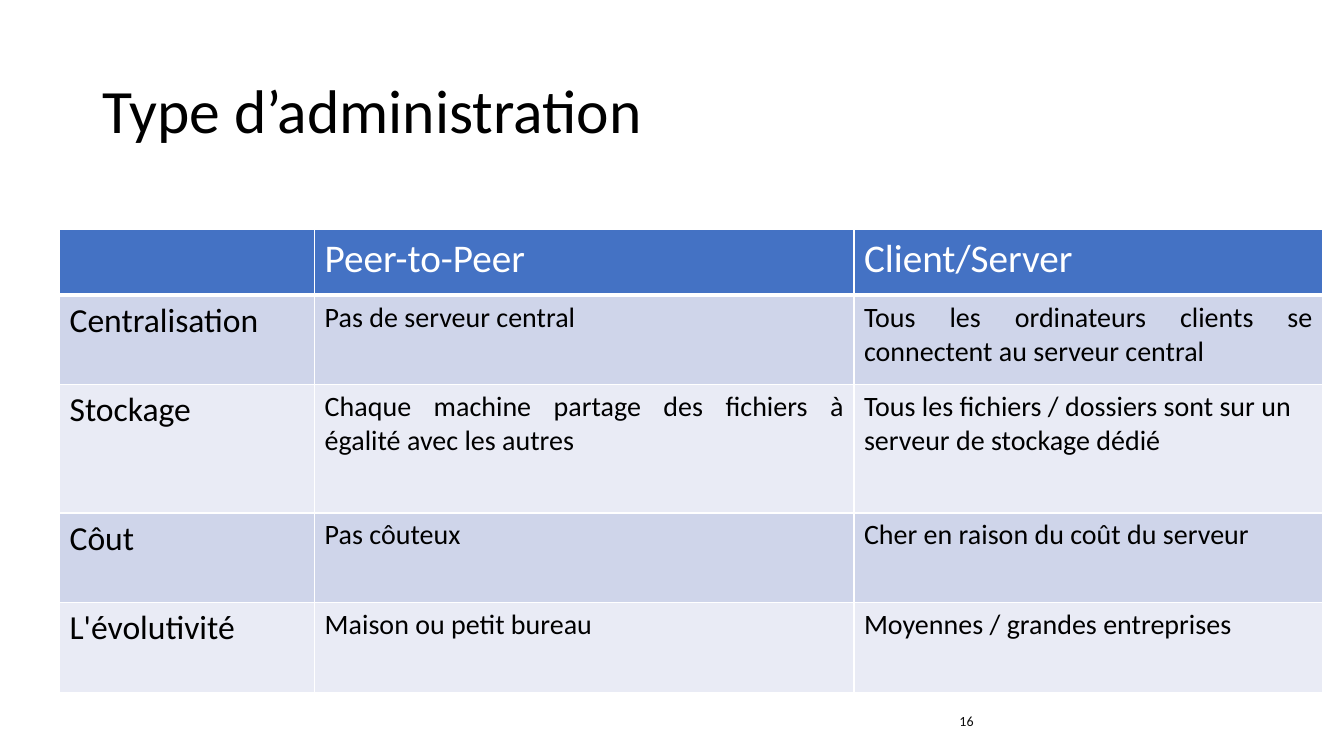
from dataclasses import dataclass

from lxml.etree import SubElement
from pptx import Presentation
from pptx.dml.color import RGBColor
from pptx.enum.text import MSO_ANCHOR, MSO_AUTO_SIZE, PP_ALIGN
from pptx.oxml.ns import qn
from pptx.slide import Slide
from pptx.table import _Cell
from pptx.text.text import TextFrame
from pptx.util import Cm, Pt

FONT = "Calibri"
BLACK, WHITE, NUMBER_GREY = "000000", "FFFFFF", "0D0D0D"
HEADER_BLUE = "4472C4"
BAND_FILLS = ("CFD5EA", "E9EBF5")
COLUMN_WIDTHS = (6.43, 13.59, 11.81)
HEADER_HEIGHT = 1.65
HEADER_SIZE, LABEL_SIZE, DETAIL_SIZE = 28, 24, 20


@dataclass
class Criterion:
    label: str
    peer_to_peer: str
    client_server: str
    height: float = 2.26
    justified_column: int = 0


HEADINGS = ("", "Peer-to-Peer", "Client/Server")
CRITERIA = (
    Criterion("Centralisation", "Pas de serveur central",
              "Tous les ordinateurs clients se connectent au serveur central",
              justified_column=2),
    Criterion("Stockage",
              "Chaque machine partage des fichiers à égalité avec les autres",
              "Tous les fichiers / dossiers sont sur un serveur de stockage dédié",
              height=3.23, justified_column=1),
    Criterion("Côut", "Pas côuteux", "Cher en raison du coût du serveur"),
    Criterion("L'évolutivité", "Maison ou petit bureau", "Moyennes / grandes entreprises"),
)


def color(value: str) -> RGBColor:
    return RGBColor.from_string(value)


def write(frame: TextFrame, text: str, size: float, text_color: str,
          align: PP_ALIGN = PP_ALIGN.LEFT) -> None:
    para = frame.paragraphs[0]
    para.alignment = align
    span = para.add_run()
    span.text = text
    span.font.name = FONT
    span.font.size = Pt(size)
    span.font.bold = False
    span.font.color.rgb = color(text_color)


def add_borders(cell: _Cell, top: float, bottom: float) -> None:
    """Draw white cell borders, with widths in points; call before filling."""
    properties = cell._tc.get_or_add_tcPr()
    for tag, width in (("a:lnL", 1), ("a:lnR", 1), ("a:lnT", top), ("a:lnB", bottom)):
        line = SubElement(properties, qn(tag), w=str(Pt(width)))
        fill = SubElement(line, qn("a:solidFill"))
        SubElement(fill, qn("a:srgbClr"), val=WHITE)


def fill_cell(cell: _Cell, fill: str, top: float = 1, bottom: float = 1) -> None:
    add_borders(cell, top, bottom)
    cell.fill.solid()
    cell.fill.fore_color.rgb = color(fill)


def add_title(page: Slide) -> None:
    title = page.shapes.title
    title.left, title.top, title.width, title.height = Cm(2.33), Cm(1.01), Cm(29.21), Cm(3.68)
    frame = title.text_frame
    frame.auto_size = MSO_AUTO_SIZE.NONE
    frame.vertical_anchor = MSO_ANCHOR.MIDDLE
    write(frame, "Type d’administration", 44, BLACK)
    frame.paragraphs[0].line_spacing = 0.9


def add_comparison(page: Slide) -> None:
    heights = [HEADER_HEIGHT] + [criterion.height for criterion in CRITERIA]
    table = page.shapes.add_table(
        len(heights), len(COLUMN_WIDTHS), Cm(1.5), Cm(5.79),
        Cm(sum(COLUMN_WIDTHS)), Cm(sum(heights))).table
    for column, width in zip(table.columns, COLUMN_WIDTHS):
        column.width = Cm(width)
    for row, height in zip(table.rows, heights):
        row.height = Cm(height)

    for column, heading in enumerate(HEADINGS):
        cell = table.cell(0, column)
        fill_cell(cell, HEADER_BLUE, bottom=3)
        if heading:
            write(cell.text_frame, heading, HEADER_SIZE, WHITE)

    for row, criterion in enumerate(CRITERIA, start=1):
        texts = (criterion.label, criterion.peer_to_peer, criterion.client_server)
        for column, text in enumerate(texts):
            cell = table.cell(row, column)
            fill_cell(cell, BAND_FILLS[(row - 1) % 2], top=3 if row == 1 else 1)
            justified = column > 0 and column == criterion.justified_column
            write(cell.text_frame, text, DETAIL_SIZE if column else LABEL_SIZE, BLACK,
                  PP_ALIGN.JUSTIFY if justified else PP_ALIGN.LEFT)


def add_page_number(page: Slide) -> None:
    box = page.shapes.add_textbox(Cm(23.93), Cm(17.65), Cm(7.62), Cm(1.02))
    frame = box.text_frame
    frame.word_wrap = True
    frame.vertical_anchor = MSO_ANCHOR.MIDDLE
    write(frame, "16", 10, NUMBER_GREY)


def main() -> None:
    deck = Presentation()
    deck.slide_width, deck.slide_height = Cm(33.87), Cm(19.05)
    page = deck.slides.add_slide(deck.slide_layouts.get_by_name("Title Only"))
    add_title(page)
    add_comparison(page)
    add_page_number(page)
    deck.save("out.pptx")


if __name__ == "__main__":
    main()
